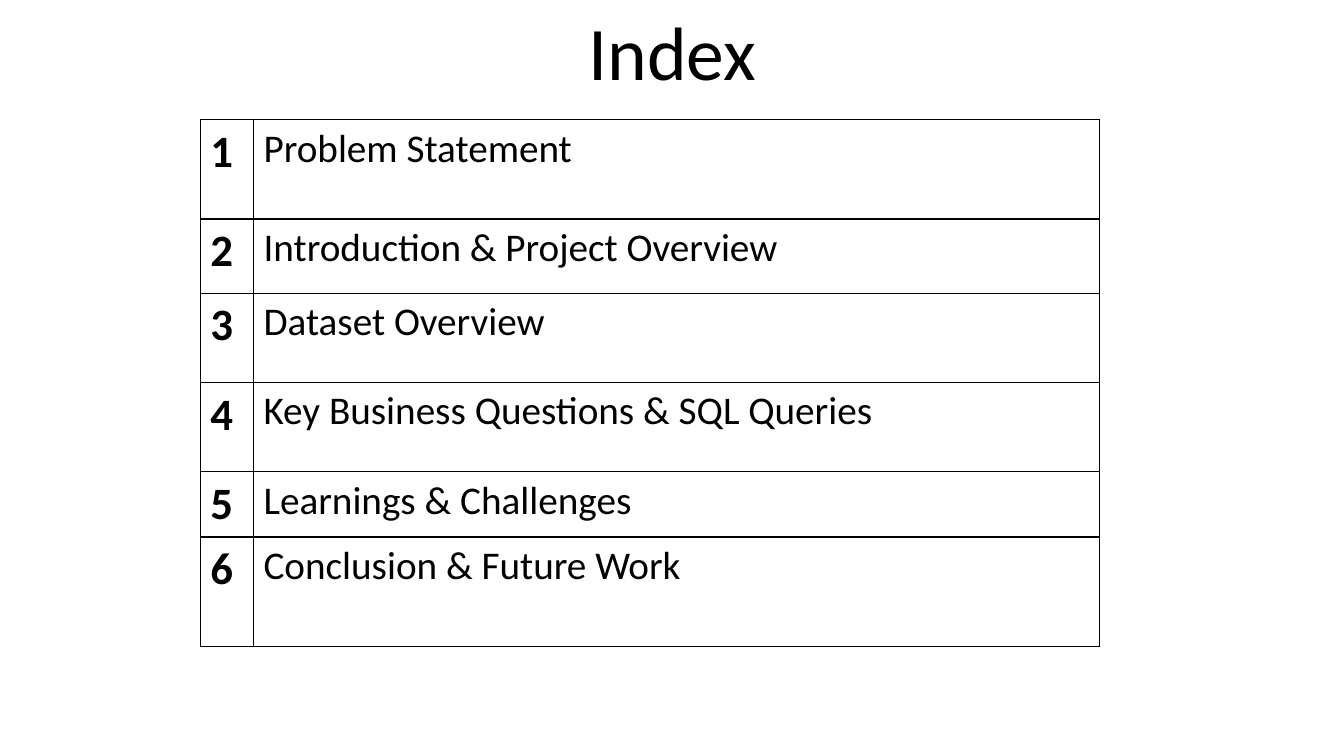
from dataclasses import dataclass

from lxml.etree import SubElement
from pptx import Presentation
from pptx.dml.color import RGBColor
from pptx.enum.text import MSO_ANCHOR, MSO_AUTO_SIZE, PP_ALIGN
from pptx.oxml.ns import qn
from pptx.slide import Slide
from pptx.table import _Cell
from pptx.text.text import TextFrame
from pptx.util import Cm, Pt

COLOURS = {"text": "000000", "border": "000000", "cell": "FFFFFF"}
FONT = "Calibri"
COLUMN_WIDTHS = (1.34, 21.32)
BORDER_WIDTH = Pt(1)


@dataclass(frozen=True)
class Topic:
    name: str
    height: float


TOPICS = (
    Topic("Problem Statement", 2.5),
    Topic("Introduction & Project Overview", 1.87),
    Topic("Dataset Overview", 2.25),
    Topic("Key Business Questions & SQL Queries", 2.25),
    Topic("Learnings & Challenges", 1.64),
    Topic("Conclusion & Future Work", 2.77),
)


def write_text(text_frame: TextFrame, text: str, size: int, bold: bool = False) -> None:
    text_frame.text = text
    font = text_frame.paragraphs[0].runs[0].font
    font.name = FONT
    font.size = Pt(size)
    font.bold = bold
    font.color.rgb = RGBColor.from_string(COLOURS["text"])


def add_borders(cell: _Cell) -> None:
    properties = cell._tc.get_or_add_tcPr()
    for position, side in enumerate(("a:lnL", "a:lnR", "a:lnT", "a:lnB")):
        line = SubElement(properties, qn(side), w=str(BORDER_WIDTH))
        fill = SubElement(line, qn("a:solidFill"))
        SubElement(fill, qn("a:srgbClr"), val=COLOURS["border"])
        properties.insert(position, line)


def fill_cell(cell: _Cell, text: str, size: int, bold: bool) -> None:
    write_text(cell.text_frame, text, size, bold)
    cell.fill.solid()
    cell.fill.fore_color.rgb = RGBColor.from_string(COLOURS["cell"])
    add_borders(cell)


def add_title(slide: Slide) -> None:
    title = slide.shapes.title
    title.left, title.top, title.width, title.height = Cm(14.55), Cm(0), Cm(4.78), Cm(2.57)
    text_frame = title.text_frame
    write_text(text_frame, "Index", 54)
    text_frame.word_wrap = False
    text_frame.auto_size = MSO_AUTO_SIZE.SHAPE_TO_FIT_TEXT
    text_frame.vertical_anchor = MSO_ANCHOR.TOP
    text_frame.paragraphs[0].alignment = PP_ALIGN.CENTER


def add_index_table(slide: Slide) -> None:
    height = sum(topic.height for topic in TOPICS)
    table = slide.shapes.add_table(
        len(TOPICS), len(COLUMN_WIDTHS), Cm(5.05), Cm(3.02), Cm(sum(COLUMN_WIDTHS)), Cm(height)
    ).table
    table.first_row = False
    table.horz_banding = False
    for column, width in zip(table.columns, COLUMN_WIDTHS):
        column.width = Cm(width)
    for index, topic in enumerate(TOPICS):
        table.rows[index].height = Cm(topic.height)
        fill_cell(table.cell(index, 0), str(index + 1), 32, True)
        fill_cell(table.cell(index, 1), topic.name, 28, False)


def main() -> None:
    presentation = Presentation()
    presentation.slide_width = Cm(33.87)
    presentation.slide_height = Cm(19.05)
    slide = presentation.slides.add_slide(presentation.slide_layouts[5])
    add_index_table(slide)
    add_title(slide)
    presentation.save("out.pptx")


if __name__ == "__main__":
    main()
